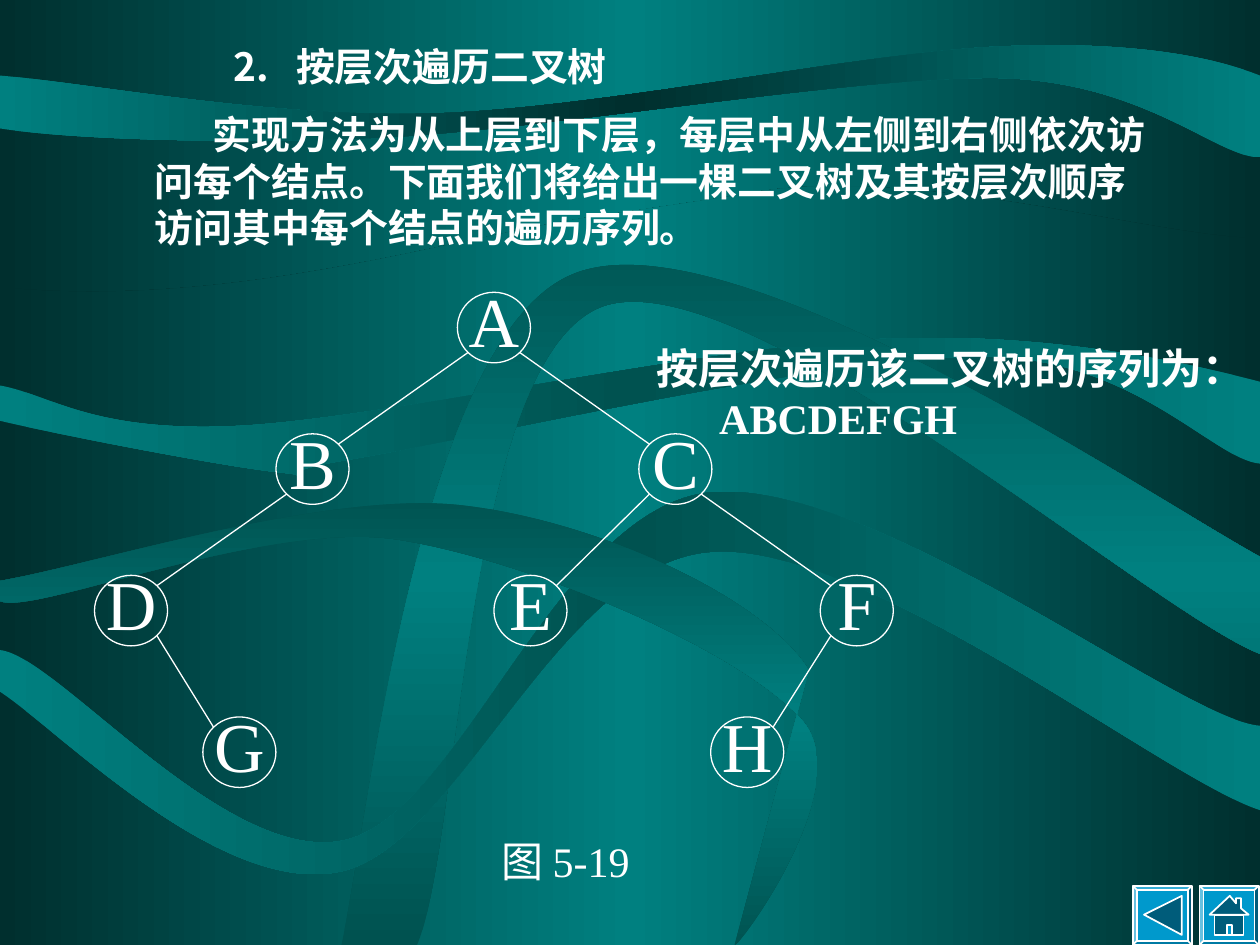
import copy
import math

import pptx
import pptx.dml.color
import pptx.enum.shapes
import pptx.enum.text
import pptx.oxml.ns
import pptx.util
from pptx.util import Inches

WHITE = pptx.dml.color.RGBColor(0xFF, 0xFF, 0xFF)
DEEP = pptx.dml.color.RGBColor(0x00, 0x2F, 0x2E)
MIDDLE = pptx.dml.color.RGBColor(0x00, 0x52, 0x50)
TEAL = pptx.dml.color.RGBColor(0x00, 0x80, 0x80)
BUTTON_BLUE = pptx.dml.color.RGBColor(0x00, 0x99, 0xCC)
ICON_BLUE = pptx.dml.color.RGBColor(0x00, 0x5C, 0x7A)

CHINESE_FONT = "Noto Sans CJK SC"
LATIN_FONT = "Times New Roman"

RIBBONS = [
    (DEEP, TEAL, 0, [
        (0, 2.28), (1.78, 2.45, 3.4, 1.94, 4.58, 1.74), (4.58, 1.74, 5.67, 1.58, 5.86, 1.55),
        (7.15, 1.27, 9.17, 1.89, 10, 1.89), (10, 7.5), (0, 7.5)]),
    (TEAL, DEEP, 0, [
        (0, 0.6), (0, 1.02), (0.51, 1.1, 1.76, 1.15, 3.08, 1.09),
        (4.4, 1.02, 6.79, 0.6, 7.94, 0.62), (9.09, 0.65, 9.66, 1.25, 10, 1.25), (10, 0.6),
        (9.65, 0.46, 9.01, 0.32, 7.92, 0.37), (6.82, 0.42, 4.77, 0.86, 3.45, 0.9),
        (2.13, 0.94, 0.72, 0.66, 0, 0.6)]),
    (TEAL, MIDDLE, 0, [
        (0, 3.06), (0, 3.34), (0.37, 3.43, 1.75, 3.7, 2.22, 3.75),
        (2.69, 3.8, 1.9, 3.79, 2.82, 3.64), (3.75, 3.48, 6.6, 2.82, 7.8, 2.83),
        (9, 2.83, 9.63, 3.65, 10, 3.68), (10, 3.03), (9.5, 2.9, 8.36, 2.63, 7.01, 2.69),
        (5.66, 2.74, 3.07, 3.32, 1.9, 3.38), (0.73, 3.44, 0.4, 3.13, 0, 3.06)]),
    (MIDDLE, TEAL, 90, [
        (2.71, 7.5), (2.91, 6.61, 3.32, 2.69, 4.54, 2.18), (5.75, 1.66, 9.09, 3.92, 10, 4.42),
        (10, 5.19), (9.13, 4.85, 5.91, 2.05, 4.79, 2.43), (3.68, 2.82, 3.66, 6.66, 3.31, 7.5)]),
    (TEAL, MIDDLE, 0, [
        (0, 5.16), (0, 5.49), (0.45, 5.78, 1.74, 7.11, 2.69, 6.92),
        (3.63, 6.74, 4.43, 4.46, 5.65, 4.38), (6.87, 4.29, 9.27, 6.2, 10, 6.43), (10, 5.76),
        (9.38, 5.72, 6.91, 3.77, 5.62, 3.91), (4.41, 4.06, 3.67, 6.46, 2.73, 6.67),
        (1.79, 6.87, 0.45, 5.2, 0, 5.16)]),
    (MIDDLE, TEAL, 90, [
        (0, 4.61), (0, 4.77), (0.26, 4.89, 2.08, 4.13, 3.14, 4.28),
        (4.2, 4.44, 5.92, 5.18, 6.37, 5.72), (6.82, 6.25, 5.82, 7.57, 5.83, 7.5),
        (6.42, 5.32), (6.06, 4.74, 4.73, 4.13, 3.66, 4.01), (2.59, 3.89, 0.76, 4.48, 0, 4.61)]),
]

TREE_NODES = {"A": (2.88, 0), "B": (1.44, 1), "C": (4.32, 1), "D": (0, 2),
              "E": (3.17, 2), "F": (5.76, 2), "G": (0.86, 3), "H": (4.89, 3)}
TREE_EDGES = ["AB", "AC", "BD", "CE", "CF", "DG", "FH"]
NODE_WIDTH, NODE_HEIGHT, LEVEL_STEP = 0.58, 0.56, 3.37 / 3

BACK_ICON = [[(0.09, 0.23), (0.39, 0.08), (0.39, 0.39)]]
HOME_ICON = [
    [(0.24, 0.08), (0.29, 0.14), (0.29, 0.1), (0.33, 0.1), (0.33, 0.18), (0.39, 0.23),
     (0.08, 0.23)],
    [(0.12, 0.23), (0.35, 0.23), (0.35, 0.39), (0.12, 0.39)],
    [(0.22, 0.31), (0.26, 0.31), (0.26, 0.39), (0.22, 0.39)],
]


def write_text(paragraph, text, size=24, bold=False, font=LATIN_FONT, align=None, margin=0,
               indent=0, spacing=None, before=0, after=0):
    """Write formatted white text in a paragraph, with margin and indent in inches."""
    run = paragraph.add_run()
    run.text = text
    run.font.size = pptx.util.Pt(size)
    run.font.bold = bold
    run.font.name = font
    run.font.color.rgb = WHITE
    east_asian = run.font._element.makeelement(
        pptx.oxml.ns.qn("a:ea"), {"typeface": CHINESE_FONT})
    run.font._element.append(east_asian)
    properties = paragraph._p.get_or_add_pPr()
    properties.set("marL", str(Inches(margin)))
    properties.set("indent", str(Inches(indent)))
    properties.insert(0, properties.makeelement(pptx.oxml.ns.qn("a:buNone"), {}))
    paragraph.alignment = align
    paragraph.line_spacing = spacing
    paragraph.space_before = pptx.util.Pt(before)
    paragraph.space_after = pptx.util.Pt(after)


def fill_gradient(fill, edge, centre, angle):
    """Fill with a gradient that runs from edge to centre and back to edge."""
    fill.gradient()
    fill.gradient_angle = angle
    first, last = fill.gradient_stops
    first.color.rgb, first.position = edge, 0
    last.color.rgb, last.position = centre, 0.5
    closing = copy.deepcopy(first._gs)
    closing.set("pos", "100000")
    last._gs.addnext(closing)


def add_outline(slide, contours, left=0, top=0):
    """Add one shape of closed contours with points measured from left and top."""
    builder = None
    for contour in contours:
        corners = [(Inches(left + x), Inches(top + y)) for x, y in contour]
        if builder is None:
            builder = slide.shapes.build_freeform(*corners[0])
        else:
            builder.move_to(*corners[0])
        builder.add_line_segments(corners[1:], close=False)
        builder.add_line_segments([], close=True)
    shape = builder.convert_to_shape()
    shape.shadow.inherit = False
    return shape


def add_ribbon(slide, segments):
    """Add a closed shape whose six-number segments are cubic curves."""
    points = [segment[i:i + 2] for segment in segments for i in range(0, len(segment), 2)]
    shape = add_outline(slide, [points])
    lines = iter(list(shape._element.iter(pptx.oxml.ns.qn("a:lnTo"))))
    for segment in segments[1:]:
        if len(segment) == 2:
            next(lines)
            continue
        controls = [next(lines) for _ in range(3)]
        curve = controls[0].makeelement(pptx.oxml.ns.qn("a:cubicBezTo"), {})
        controls[0].addprevious(curve)
        for control in controls:
            curve.append(control[0])
            control.getparent().remove(control)
    return shape


def add_backdrop(slide):
    """Fill the background and lay the ribbons over it."""
    fill_gradient(slide.background.fill, DEEP, TEAL, 0)
    for edge, centre, angle, segments in RIBBONS:
        ribbon = add_ribbon(slide, segments)
        fill_gradient(ribbon.fill, edge, centre, angle)
        ribbon.line.fill.background()


def add_body(slide, left, top, width, height):
    """Place the heading and the explanation in the body placeholder."""
    title, body = slide.placeholders
    title._element.getparent().remove(title._element)
    slide.shapes._spTree.append(body._element)
    body.left, body.top = Inches(left), Inches(top)
    body.width, body.height = Inches(width), Inches(height)
    frame = body.text_frame
    frame.auto_size = pptx.enum.text.MSO_AUTO_SIZE.NONE
    write_text(frame.paragraphs[0], "2.\t按层次遍历二叉树", size=22.2, bold=True,
               font=CHINESE_FONT, margin=1.5, indent=-0.5, spacing=0.9, after=6)
    write_text(frame.add_paragraph(),
               "实现方法为从上层到下层，每层中从左侧到右侧依次访问每个结点。"
               "下面我们将给出一棵二叉树及其按层次顺序访问其中每个结点的遍历序列。",
               size=22.2, bold=True, margin=0.38, indent=0.46, spacing=1.0, before=6)


def add_tree(slide, left, top):
    """Draw the binary tree with its nodes and branches."""
    centres = {}
    for name, (offset, level) in TREE_NODES.items():
        x, y = left + offset, top + level * LEVEL_STEP
        centres[name] = (x + NODE_WIDTH / 2, y + NODE_HEIGHT / 2)
        node = slide.shapes.add_shape(pptx.enum.shapes.MSO_SHAPE.OVAL, Inches(x), Inches(y),
                                      Inches(NODE_WIDTH), Inches(NODE_HEIGHT))
        node.shadow.inherit = False
        node.fill.background()
        node.line.color.rgb = WHITE
        node.line.width = pptx.util.Pt(0.75)
        frame = node.text_frame
        frame.word_wrap = False
        frame.margin_left = frame.margin_right = frame.margin_top = frame.margin_bottom = 0
        write_text(frame.paragraphs[0], name, size=40, spacing=0.8,
                   align=pptx.enum.text.PP_ALIGN.CENTER)
    reach_x = NODE_WIDTH / 2 * math.sqrt(0.5)
    reach_y = NODE_HEIGHT / 2 * math.sqrt(0.5)
    for parent, child in TREE_EDGES:
        (x1, y1), (x2, y2) = centres[parent], centres[child]
        shift = math.copysign(reach_x, x2 - x1)
        branch = slide.shapes.add_connector(
            pptx.enum.shapes.MSO_CONNECTOR.STRAIGHT, Inches(x1 + shift), Inches(y1 + reach_y),
            Inches(x2 - shift), Inches(y2 - reach_y))
        branch.line.color.rgb = WHITE
        branch.line.width = pptx.util.Pt(0.75)
        properties = branch._element.spPr
        properties.append(properties.makeelement(pptx.oxml.ns.qn("a:effectLst"), {}))


def add_label(slide, left, top, width, height, lines):
    """Place a text box with one paragraph for each text and its format."""
    frame = slide.shapes.add_textbox(Inches(left), Inches(top), Inches(width),
                                     Inches(height)).text_frame
    frame.word_wrap = False
    for index, (text, style) in enumerate(lines):
        paragraph = frame.add_paragraph() if index else frame.paragraphs[0]
        write_text(paragraph, text, **style)


def add_button(slide, left, top, size, icon):
    """Draw a bevelled navigation button with its icon."""
    bevel = slide.shapes.add_shape(pptx.enum.shapes.MSO_SHAPE.BEVEL, Inches(left), Inches(top),
                                   Inches(size), Inches(size))
    bevel.adjustments[0] = 0.07
    bevel.shadow.inherit = False
    symbol = add_outline(slide, icon, left, top)
    for shape, colour in ((bevel, BUTTON_BLUE), (symbol, ICON_BLUE)):
        shape.fill.solid()
        shape.fill.fore_color.rgb = colour
        shape.line.color.rgb = WHITE
        shape.line.width = pptx.util.Pt(1)


def main():
    """Build the slide on level-order traversal and save it."""
    presentation = pptx.Presentation()
    presentation.slide_width, presentation.slide_height = Inches(10), Inches(7.5)
    slide = presentation.slides.add_slide(presentation.slide_layouts[1])
    add_backdrop(slide)
    add_body(slide, 0.75, 0.33, 8.5, 1.83)
    add_tree(slide, 0.75, 2.32)
    add_label(slide, 3.88, 6.58, 1.3, 0.5, [("图 5-19", {})])
    add_label(slide, 5.11, 2.67, 4.86, 1.3, [
        ("按层次遍历该二叉树的序列为：", {"bold": True}),
        ("ABCDEFGH", {"bold": True, "margin": 0.5})])
    add_button(slide, 9.52, 7.03, 0.47, HOME_ICON)
    add_button(slide, 8.99, 7.03, 0.47, BACK_ICON)
    presentation.save("out.pptx")


if __name__ == "__main__":
    main()
